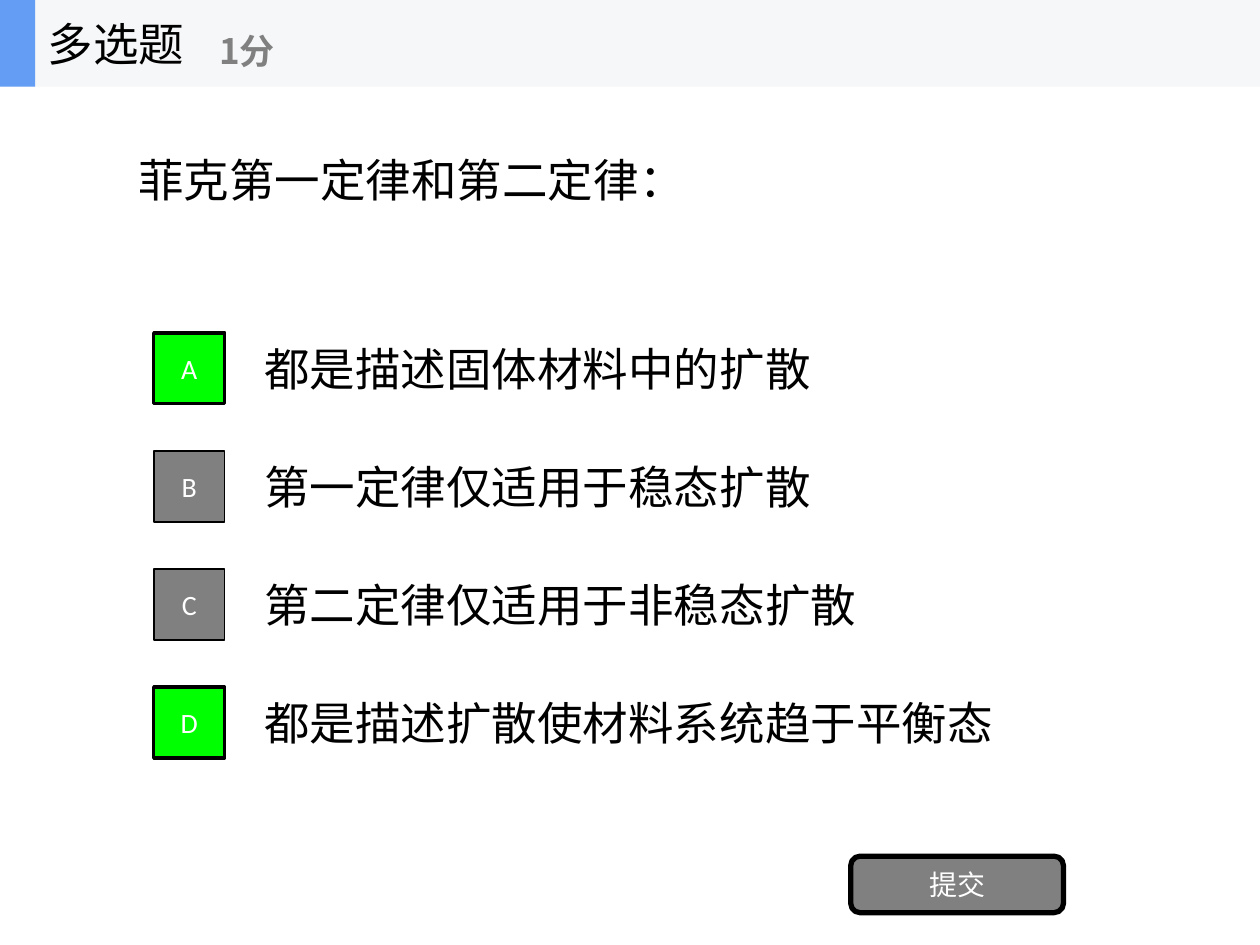
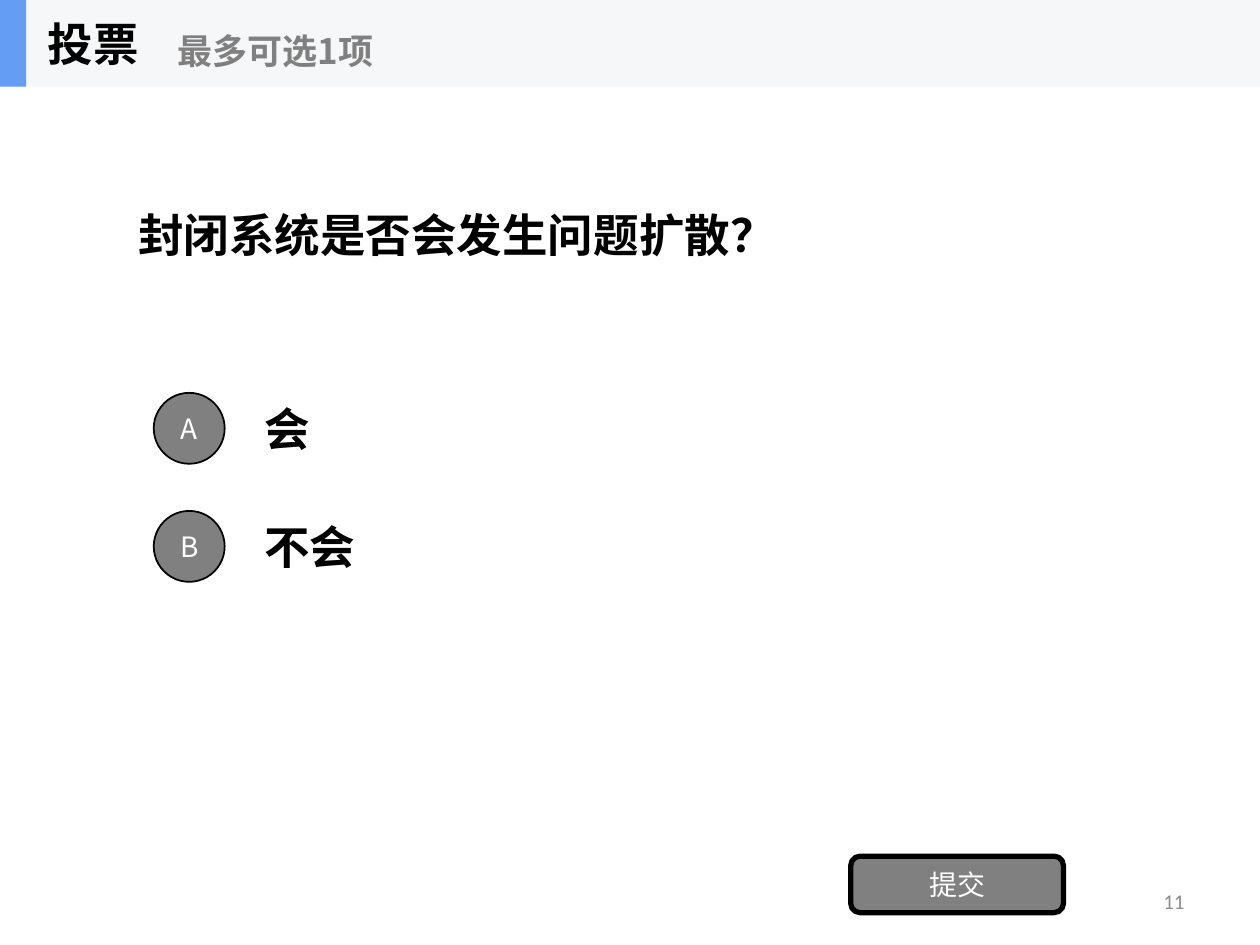
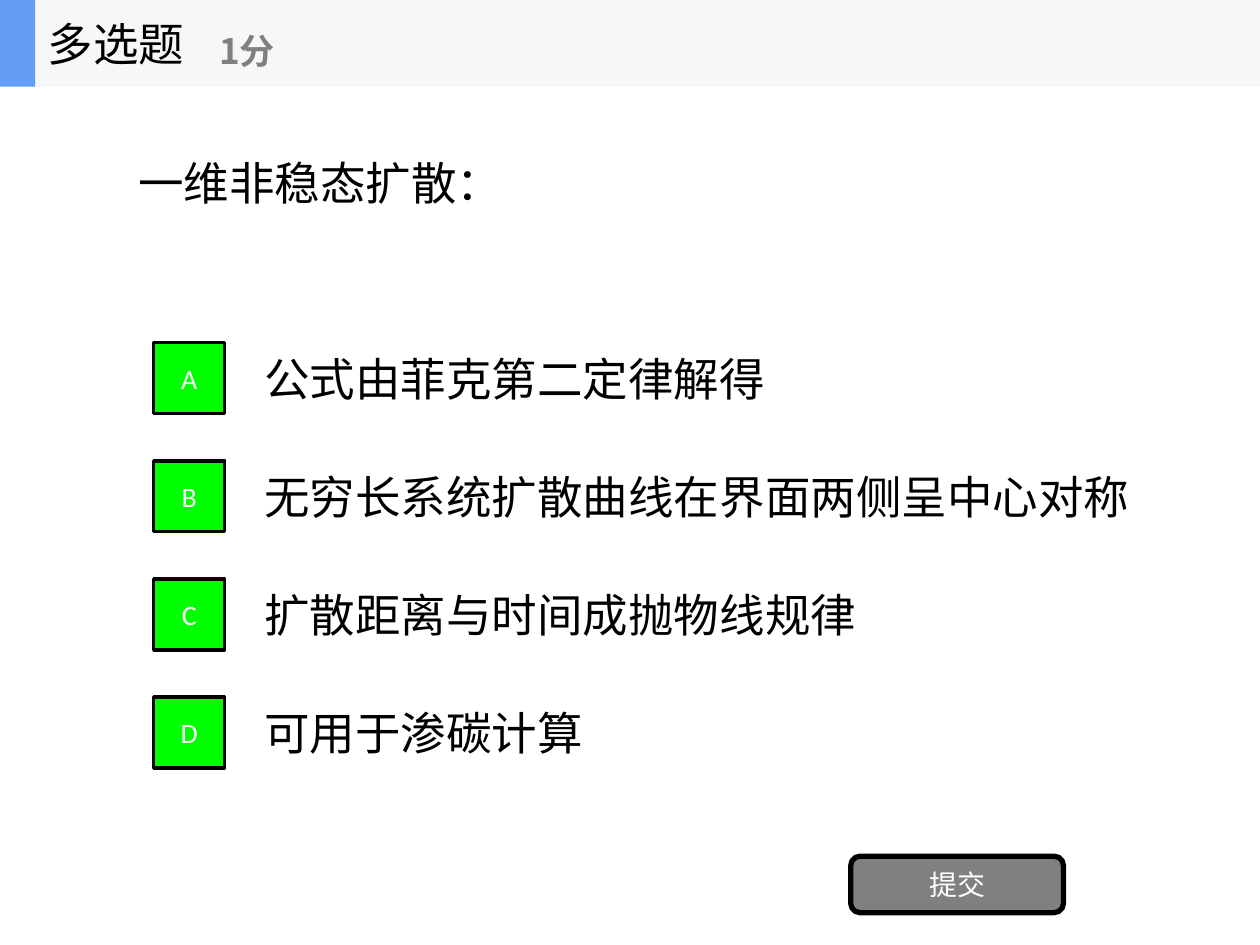
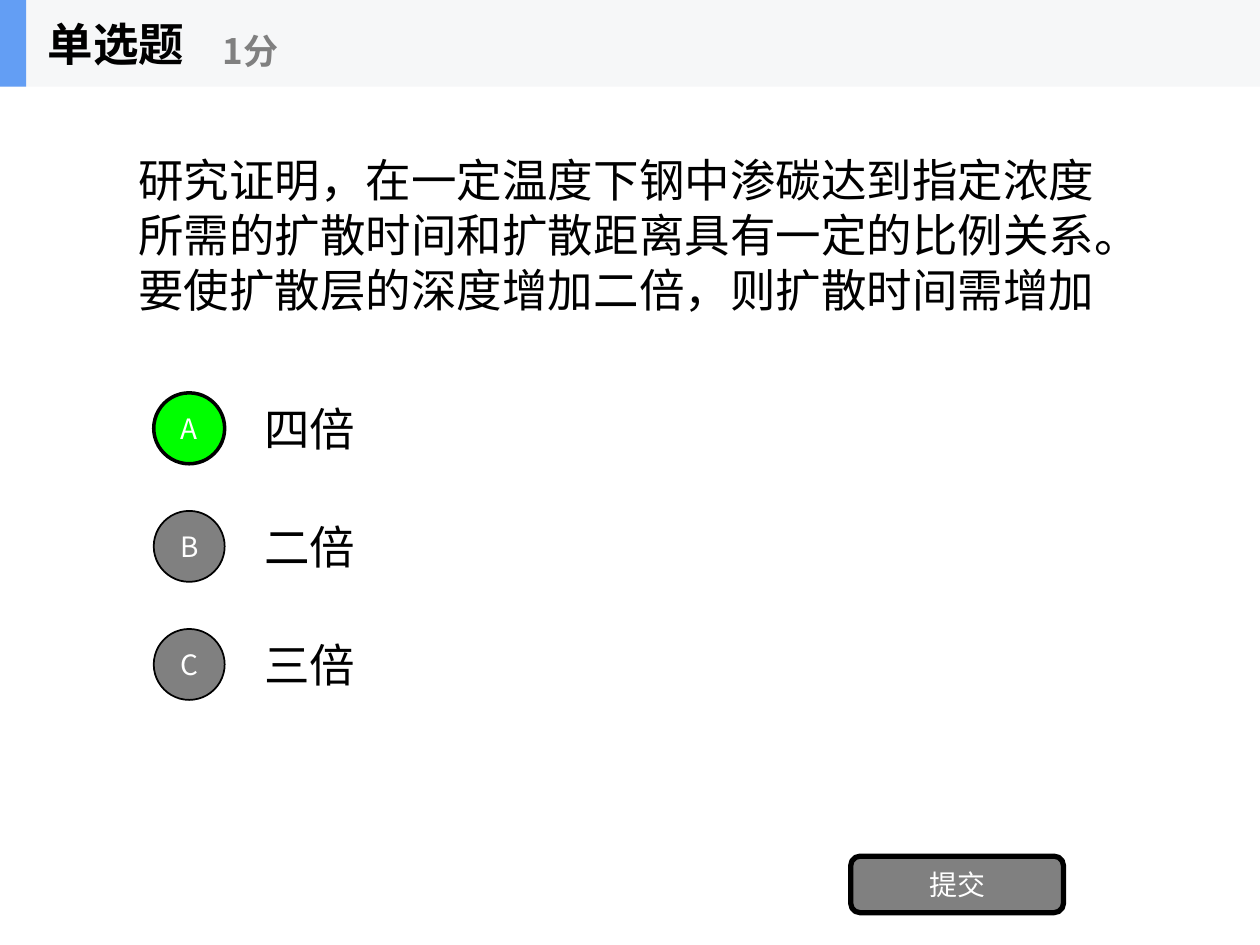
from dataclasses import dataclass
from typing import Any, NamedTuple

from lxml import etree
from pptx import Presentation
from pptx import util as u
from pptx.dml.color import RGBColor
from pptx.enum import shapes as es, text as et
from pptx.oxml import ns

NOTO = "Noto Sans CJK SC"
CALI = "Calibri"
LEFT, MID, RIGHT = et.PP_ALIGN.LEFT, et.PP_ALIGN.CENTER, et.PP_ALIGN.RIGHT


@dataclass(frozen=True)
class Theme:
    ink: str = "000000"
    white: str = "FFFFFF"
    gray: str = "808080"
    pale: str = "8C8C8C"
    band: str = "F6F7F8"
    blue: str = "639EF4"
    green: str = "00FF00"
    body: int = 26
    note: int = 20
    mark: int = 16
    foot: int = 12
    thin: int = 1
    thick: int = 2
    heavy: int = 3


class Box(NamedTuple):
    """Left, top, width and height in centimetres."""
    x: float
    y: float
    w: float
    h: float

    def cm(self) -> list[u.Length]:
        return [u.Cm(side) for side in self]


class Type(NamedTuple):
    size: int
    color: str
    font: str = NOTO
    bold: bool = False
    align: Any = LEFT
    wrap: bool = True


class Style(NamedTuple):
    """What all slides of one question type share."""
    mark: Any
    font: str
    edge: float     # width of the blue edge
    head: float     # width of the heading
    bold: bool      # weight of the heading
    wrap: bool


class Choice(NamedTuple):
    text: str
    right: bool = False
    width: float = 17.78


class Quiz(NamedTuple):
    style: Style
    head: str
    note: str
    note_x: float
    ask: str
    ask_y: float
    top: float
    picks: list[Choice]
    bold: bool = False
    page: str = ""


THEME = Theme()
BAND_H = 1.75
STEP = 2.38
MARK = 1.43
ROW_H = 1.79
MULTI = Style(es.MSO_SHAPE.RECTANGLE, CALI, 0.71, 3.53, False, True)
SINGLE = Style(es.MSO_SHAPE.OVAL, NOTO, 0.53, 5.28, True, False)

QUIZZES = [
    Quiz(MULTI, "多选题", "1分", 4.17, "菲克第一定律和第二定律：", 0.64, 6.53, [
        Choice("都是描述固体材料中的扩散", True),
        Choice("第一定律仅适用于稳态扩散"),
        Choice("第二定律仅适用于非稳态扩散"),
        Choice("都是描述扩散使材料系统趋于平衡态", True),
    ]),
    Quiz(SINGLE, "投票", "最多可选1项", 3.33, "封闭系统是否会发生问题扩散？", BAND_H, 7.74, [
        Choice("会"),
        Choice("不会"),
    ], bold=True, page="11"),
    Quiz(MULTI, "多选题", "1分", 4.17, "一维非稳态扩散：", 0.71, 6.73, [
        Choice("公式由菲克第二定律解得", True),
        Choice("无穷长系统扩散曲线在界面两侧呈中心对称", True, 18.98),
        Choice("扩散距离与时间成抛物线规律", True),
        Choice("可用于渗碳计算", True),
    ]),
    Quiz(SINGLE, "单选题", "1分", 4.24,
         "研究证明，在一定温度下钢中渗碳达到指定浓度所需的扩散时间和扩散距离具有一定的比例关系。"
         "要使扩散层的深度增加二倍，则扩散时间需增加", BAND_H, 7.74, [
             Choice("四倍", True),
             Choice("二倍"),
             Choice("三倍"),
         ]),
]


def apply(target: Any, values: dict[str, Any]) -> None:
    for name, value in values.items():
        setattr(target, name, value)


def write(shape: Any, text: str, kind: Type) -> None:
    frame = shape.text_frame
    apply(frame, {"word_wrap": kind.wrap, "auto_size": et.MSO_AUTO_SIZE.NONE,
                  "vertical_anchor": et.MSO_ANCHOR.MIDDLE})
    para = frame.paragraphs[0]
    para.alignment = kind.align
    run = para.add_run()
    run.text = text
    apply(run.font, {"size": u.Pt(kind.size), "name": kind.font, "bold": kind.bold})
    run.font.color.rgb = RGBColor.from_string(kind.color)
    # East Asian glyphs have a typeface slot of their own
    east = etree.SubElement(run.font._element, ns.qn("a:ea"))
    east.set("typeface", NOTO)


def label(slide: Any, box: Box, text: str, kind: Type) -> None:
    write(slide.shapes.add_textbox(*box.cm()), text, kind)


def block(slide: Any, form: Any, box: Box, fill: str, line: int = 0) -> Any:
    """Add a filled shape; a line width of 0 means no outline."""
    shape = slide.shapes.add_shape(form, *box.cm())
    shape.shadow.inherit = False
    shape.fill.solid()
    shape.fill.fore_color.rgb = RGBColor.from_string(fill)
    if line:
        shape.line.color.rgb = RGBColor.from_string(THEME.ink)
        shape.line.width = u.Pt(line)
    else:
        shape.line.fill.background()
    return shape


def header(slide: Any, quiz: Quiz) -> None:
    style = quiz.style
    for width, fill in ((25.4, THEME.band), (style.edge, THEME.blue)):
        block(slide, es.MSO_SHAPE.RECTANGLE, Box(0, 0, width, BAND_H), fill)
    title = slide.shapes.title
    sides = Box(0.71, 0, style.head, BAND_H).cm()
    apply(title, dict(zip(("left", "top", "width", "height"), sides)))
    write(title, quiz.head,
          Type(THEME.body, THEME.ink, style.font, style.bold, wrap=style.wrap))
    slide.shapes.element.append(title.element)  # lift the title above the band
    label(slide, Box(quiz.note_x, 0.3, 6.35, 1.42), quiz.note,
          Type(THEME.note, THEME.gray, bold=True, wrap=False))


def choices(slide: Any, quiz: Quiz) -> None:
    font = quiz.style.font
    body = Type(THEME.body, THEME.ink, font, quiz.bold)
    mark = Type(THEME.mark, THEME.white, font, align=MID)
    for row, (key, pick) in enumerate(zip("ABCD", quiz.picks)):
        y = quiz.top + row * STEP
        label(slide, Box(5.08, y, pick.width, ROW_H), pick.text, body)
        fill, line = ((THEME.green, THEME.thick) if pick.right
                      else (THEME.gray, THEME.thin))
        spot = Box(3.1, y + (ROW_H - MARK) / 2, MARK, MARK)
        write(block(slide, quiz.style.mark, spot, fill, line), key, mark)


def draw(slide: Any, quiz: Quiz) -> None:
    header(slide, quiz)
    label(slide, Box(2.54, quiz.ask_y, 20.32, 5.95), quiz.ask,
          Type(THEME.body, THEME.ink, quiz.style.font, quiz.bold))
    choices(slide, quiz)
    button = block(slide, es.MSO_SHAPE.ROUNDED_RECTANGLE,
                   Box(17.15, 17.26, 4.29, 1.14), THEME.gray, THEME.heavy)
    write(button, "提交", Type(THEME.mark, THEME.white, align=MID))
    if quiz.page:
        label(slide, Box(18.21, 17.65, 5.92, 1.02), quiz.page,
              Type(THEME.foot, THEME.pale, CALI, align=RIGHT))


def main() -> None:
    deck = Presentation()
    apply(deck, {"slide_width": u.Cm(25.4), "slide_height": u.Cm(19.05)})
    plain = deck.slide_layouts.get_by_name("Title Only")
    for quiz in QUIZZES:
        draw(deck.slides.add_slide(plain), quiz)
    deck.save("out.pptx")


if __name__ == "__main__":
    main()
